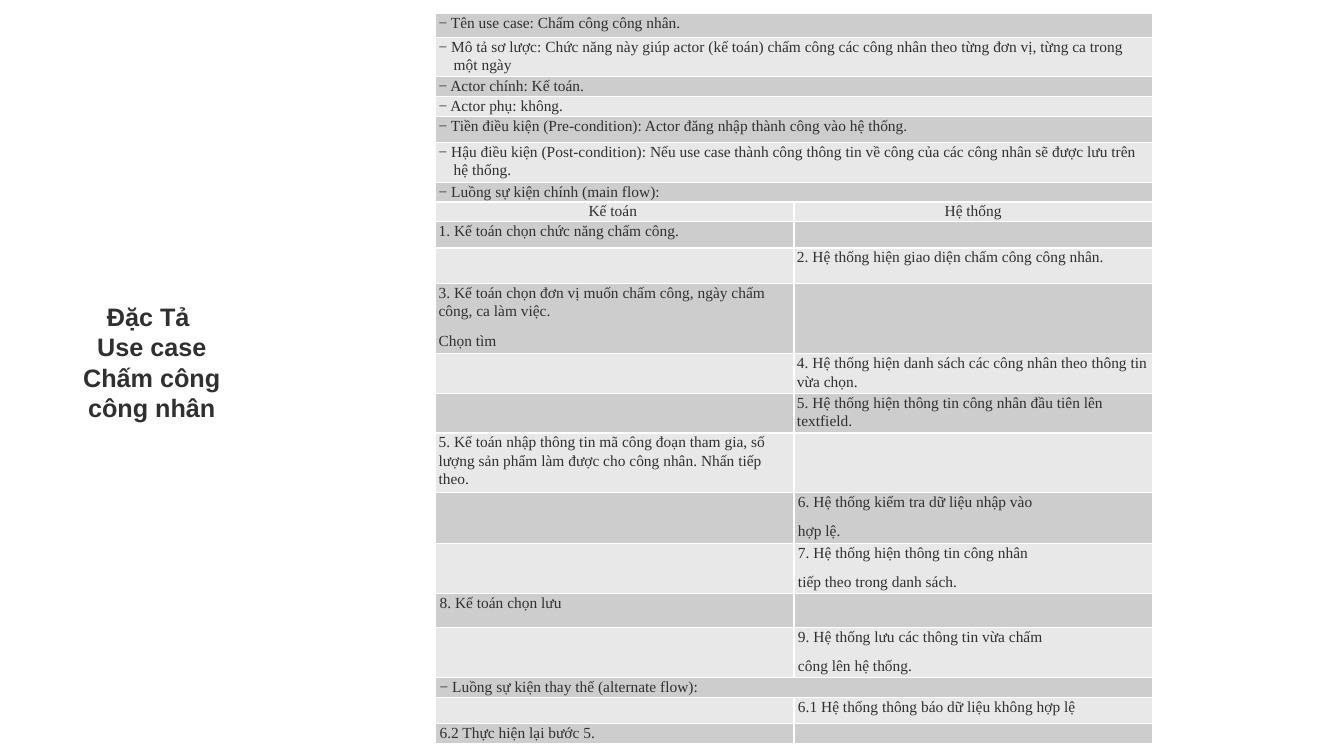
from lxml import etree
from pptx import Presentation
from pptx.dml.color import RGBColor
from pptx.enum.text import MSO_AUTO_SIZE, PP_ALIGN
from pptx.oxml.ns import qn
from pptx.util import Inches, Pt

CENTER = PP_ALIGN.CENTER
LEFT = PP_ALIGN.LEFT
GROW = MSO_AUTO_SIZE.SHAPE_TO_FIT_TEXT

GRID = Inches(0.01)
PAGE = (1333, 750)
TITLE_BOX = (71, 294, 159, 131)
TABLE_AT = (432, 13)
COLUMN = 355.5

COLORS = {"ink": "303030", "dark": "CDCDCD", "light": "E8E8E8"}
BANDS = ("dark", "light")
TITLE_FONT = {"name": "Arial", "size": Pt(18), "bold": True}
TABLE_FONT = {"name": "Times New Roman", "size": Pt(11), "bold": False}
CELL_INSETS = {"margin_left": 3 * GRID, "margin_right": 3 * GRID,
               "margin_top": 0, "margin_bottom": 0}
TABLE_PARA = {"line_spacing": 1.07, "space_after": Pt(8)}
PLAIN_TABLE = {"first_row": False, "horz_banding": False}

INDENTS = {"flat": (0, 0), "bullet": (15, -15), "step": (26, -25),
           "nudge": (1, 0), "head": (0, 0)}

TITLE = ("Đặc Tả ", "Use case", "Chấm công công nhân")

SUMMARY = [
    (24, "flat", "− Tên use case: Chấm công công nhân."),
    (35, "bullet", "− Mô tả sơ lược: Chức năng này giúp actor (kế toán) chấm công "
                   "các công nhân theo từng đơn vị, từng ca trong một ngày"),
    (17, "flat", "− Actor chính: Kế toán."),
    (17, "flat", "− Actor phụ: không."),
    (26, "flat", "− Tiền điều kiện (Pre-condition): Actor đăng nhập thành công vào hệ thống."),
    (35, "bullet", "− Hậu điều kiện (Post-condition): Nếu use case thành công thông tin "
                   "về công của các công nhân sẽ được lưu trên hệ thống."),
    (17, "flat", "− Luồng sự kiện chính (main flow):"),
]
MAIN_FLOW = [
    (17, "head", "Kế toán ", "Hệ thống"),
    (26, "flat", "1. Kế toán chọn chức năng chấm công.", ""),
    (35, "flat", "", "2. Hệ thống hiện giao diện chấm công công nhân."),
    (63, "flat", "3. Kế toán chọn đơn vị muốn chấm công, ngày chấm công, ca làm việc.\n"
                 "Chọn tìm", ""),
    (39, "flat", "", "4. Hệ thống hiện danh sách các công nhân theo thông tin vừa chọn."),
    (39, "flat", "", "5. Hệ thống hiện thông tin công nhân đầu tiên lên textfield."),
    (59, "flat", "5. Kế toán nhập thông tin mã công đoạn tham gia, số lượng sản phẩm "
                 "làm được cho công nhân. Nhấn tiếp theo.", ""),
    (50, "step", "", "6. Hệ thống kiểm tra dữ liệu nhập vào\nhợp lệ."),
    (50, "step", "", "7. Hệ thống hiện thông tin công nhân\ntiếp theo trong danh sách."),
    (33, "nudge", "8. Kế toán chọn lưu", ""),
    (50, "step", "", "9. Hệ thống lưu các thông tin vừa chấm\ncông lên hệ thống."),
]
ALTERNATE_FLOW = [
    (18, "step", "− Luồng sự kiện thay thế (alternate flow):"),
    (26, "step", "", "6.1 Hệ thống thông báo dữ liệu không hợp lệ"),
    (18, "step", "6.2 Thực hiện lại bước 5.", ""),
]


def on_grid(*steps):
    """Turn grid steps into lengths."""
    return [int(step * GRID) for step in steps]


def apply_format(target, values):
    """Set each named attribute on the target."""
    for name, value in values.items():
        setattr(target, name, value)


def write_span(para, text, font):
    """Add one run of text in the given font and the ink colour."""
    span = para.add_run()
    span.text = text
    apply_format(span.font, font)
    span.font.color.rgb = RGBColor.from_string(COLORS["ink"])


def add_paragraphs(frame, lines):
    """Yield one paragraph with its text for each line."""
    for number, line in enumerate(lines):
        yield (frame.add_paragraph() if number else frame.paragraphs[0]), line


def add_title(page):
    """Place the centred title beside the table."""
    box = page.shapes.add_textbox(*on_grid(*TITLE_BOX))
    apply_format(box.text_frame, {"word_wrap": True, "auto_size": GROW})
    for para, line in add_paragraphs(box.text_frame, TITLE):
        para.alignment = CENTER
        write_span(para, line, TITLE_FONT)


def indent_para(para, style):
    """Give a paragraph the left margin and first-line indent of its style."""
    margin, first = on_grid(*INDENTS[style])
    properties = para._p.get_or_add_pPr()
    properties.set("marL", str(margin))
    properties.set("indent", str(first))


def fill_cell(cell, text, style, band):
    """Colour a cell and write its lines."""
    cell.fill.solid()
    cell.fill.fore_color.rgb = RGBColor.from_string(COLORS[band])
    apply_format(cell, CELL_INSETS)
    for para, line in add_paragraphs(cell.text_frame, text.split("\n")):
        apply_format(para, TABLE_PARA)
        para.alignment = CENTER if style == "head" else LEFT
        indent_para(para, style)
        if line:
            write_span(para, line, TABLE_FONT)
        else:
            etree.SubElement(para._p, qn("a:endParaRPr"), sz="1100")


def add_use_case_table(page, rows):
    """Build the banded table, merging every row that has a single text."""
    size = (2 * COLUMN, sum(row[0] for row in rows))
    frame = page.shapes.add_table(len(rows), 2, *on_grid(*TABLE_AT, *size))
    table = frame.table
    apply_format(table, PLAIN_TABLE)
    for column in table.columns:
        column.width = int(COLUMN * GRID)
    for number, (height, style, *texts) in enumerate(rows):
        table.rows[number].height = height * GRID
        cells = [table.cell(number, side) for side in range(2)]
        if len(texts) == 1:
            cells[0].merge(cells[1])
        for cell, text in zip(cells, texts + [""]):
            fill_cell(cell, text, style, BANDS[number % 2])


def main():
    """Build the use case slide and save it."""
    deck = Presentation()
    deck.slide_width, deck.slide_height = on_grid(*PAGE)
    page = deck.slides.add_slide(deck.slide_layouts[6])
    add_title(page)
    add_use_case_table(page, SUMMARY + MAIN_FLOW + ALTERNATE_FLOW)
    deck.save("out.pptx")


if __name__ == "__main__":
    main()
